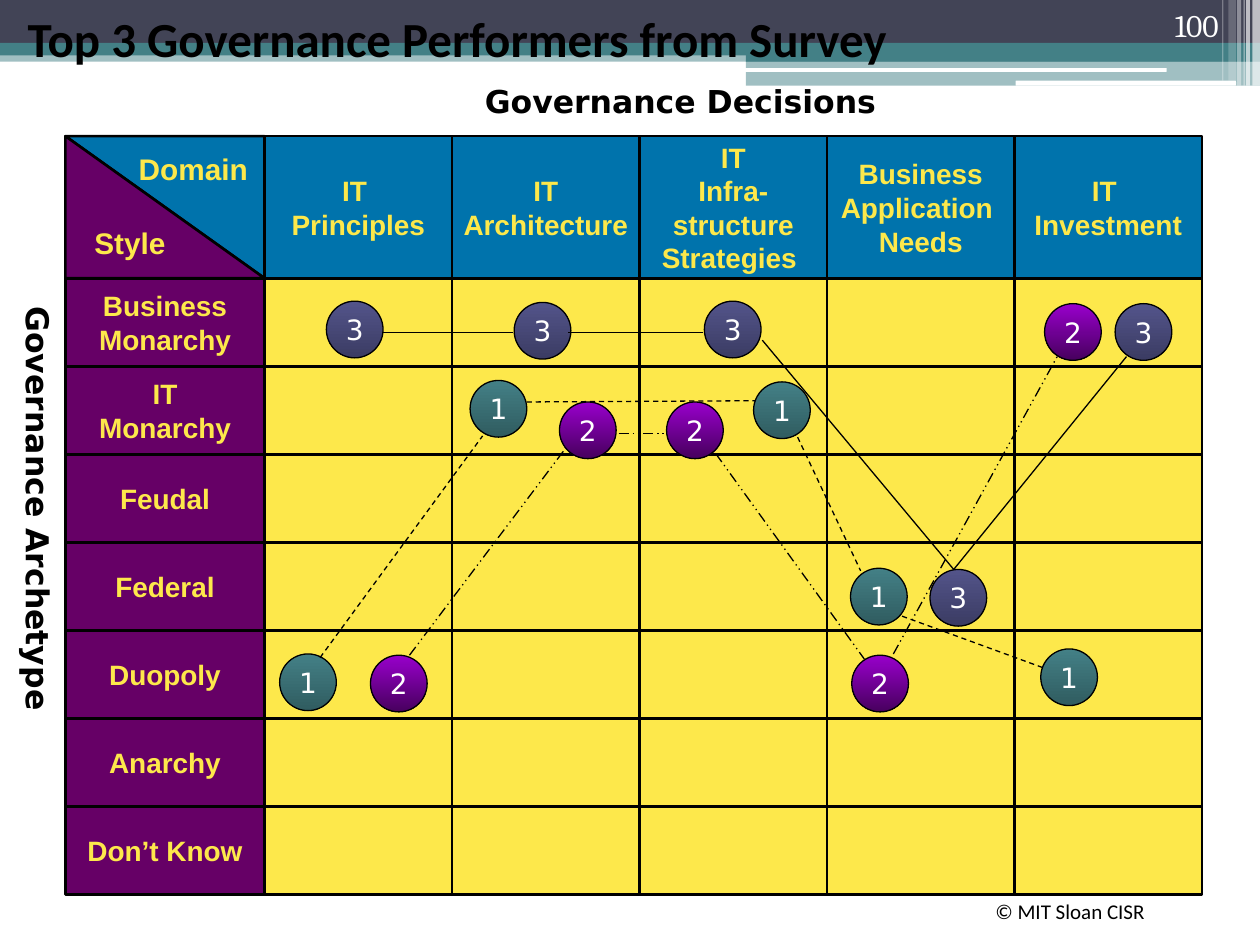
from copy import deepcopy

from lxml.etree import SubElement
from pptx import Presentation
from pptx.dml.color import RGBColor
from pptx.enum.dml import MSO_LINE
from pptx.enum.shapes import MSO_CONNECTOR, MSO_SHAPE
from pptx.enum.text import MSO_ANCHOR, MSO_AUTO_SIZE, PP_ALIGN
from pptx.oxml.ns import qn
from pptx.util import Pt

SLATE, TEAL, WHITE, BLACK = "424456", "438086", "FFFFFF", "000000"
YELLOW, BLUE, PLUM = "FDE84B", "0073AC", "660066"

# "\v" breaks a line, "\n" starts a new paragraph
DOMAINS = ["IT \vPrinciples", "IT\vArchitecture", "IT\v Infra- \vstructure\nStrategies ",
           "Business\nApplication \vNeeds", "IT \vInvestment"]
STYLES = ["Business\nMonarchy", "IT\nMonarchy", "Feudal", "Federal", "Duopoly",
          "Anarchy", "Don’t Know"]

# Performer: gradient, dash, marker corners, path segments (relative to the slide)
PERFORMERS = {
    "1": (("438086", "305C60"), MSO_LINE.DASH,
          [(159.8, 373.7), (268.6, 217.4), (430.6, 218.2), (486, 324.7), (594.7, 370.8)],
          [(182.9, 375.8, 275.8, 249.1), (301, 229.7, 431.3, 229),
           (455.8, 249.8, 491.8, 326.2), (515.5, 352.1, 596.2, 381.6)]),
    "2": (("9900CC", "47005E"), MSO_LINE.DASH_DOT_DOT,
          [(211.7, 374.4), (319.7, 229.7), (380.9, 229.7), (486.7, 374.4), (596.9, 173.5)],
          [(234, 374.4, 322.6, 257), (353.5, 247.7, 380.9, 247.7),
           (409, 259.2, 493.9, 376.6), (510.5, 373.7, 604.1, 203.8)]),
    "3": (("53548A", "3B3C63"), MSO_LINE.SOLID,
          [(186.5, 172.1), (293.8, 172.8), (402.5, 172.1), (531.4, 325.4), (637.2, 173.5)],
          [(218.2, 190.1, 293, 190.1), (324.7, 190.1, 401.8, 190.1),
           (435.6, 194.4, 545, 325.4), (545, 325.4, 643.7, 203.8)]),
}
MARKER = 32.4


def color(hex_code):
    return RGBColor.from_string(hex_code)


def write(shape, text, size=16, font="Arial", ink=YELLOW, bold=True, align=PP_ALIGN.CENTER,
          anchor=MSO_ANCHOR.MIDDLE, insets=(7.2, 3.6, 7.2, 3.6), wrap=False):
    frame = shape.text_frame
    frame.word_wrap, frame.vertical_anchor = wrap, anchor
    frame.margin_left, frame.margin_top, frame.margin_right, frame.margin_bottom = map(Pt, insets)
    frame.text = text
    for para in frame.paragraphs:
        para.alignment = align
        for span in para.runs:
            span.font.size, span.font.name, span.font.bold = Pt(size), font, bold
            span.font.color.rgb = color(ink)
        # Line breaks take the format of the text around them
        for line_break in para._p.findall(qn("a:br")):
            line_break.append(deepcopy(para.runs[0].font._element))


def label(page, box, text, rotation=0, grow=True, **text_format):
    shape = page.shapes.add_textbox(*map(Pt, box))
    shape.rotation = rotation
    options = dict(ink=BLACK, align=PP_ALIGN.LEFT, anchor=MSO_ANCHOR.TOP, wrap=True)
    write(shape, text, **{**options, **text_format})
    if grow:
        shape.text_frame.auto_size = MSO_AUTO_SIZE.SHAPE_TO_FIT_TEXT


def block(page, box, fill, kind=MSO_SHAPE.RECTANGLE, line=None, opacity=100):
    shape = page.shapes.add_shape(kind, *map(Pt, box))
    shape.shadow.inherit = False
    if isinstance(fill, tuple):
        shape.fill.gradient()
        shape.fill.gradient_angle = 270
        for stop, shade in zip(shape.fill.gradient_stops, fill):
            stop.color.rgb = color(shade)
    else:
        shape.fill.solid()
        shape.fill.fore_color.rgb = color(fill)
    if opacity < 100:
        tint = shape._element.spPr.find(qn("a:solidFill"))[0]
        SubElement(tint, qn("a:alpha")).set("val", str(opacity * 1000))
    if line:
        shape.line.color.rgb, shape.line.width = color(BLACK), Pt(line)
    else:
        shape.line.fill.background()
    return shape


def banner(page, box):
    left, top, width, height = box
    right = left + width
    # Bands across the page, then the stepped band on the right
    for x, y, tall, fill, opacity in [
            (0, 28.8, 6.5, TEAL, 50), (0, 0, 24.5, SLATE, 100), (0, 24.5, 7.2, TEAL, 100),
            (426.2, 28.1, 7.2, TEAL, 100), (426.2, 34.6, 14.4, TEAL, 50)]:
        block(page, (left + x, top + y, width - x, tall), fill, opacity=opacity)
    # Rounded white rules
    for x, y, wide, tall in [(425.5, 38.9, 241.2, 2.2), (580.3, 46.1, 126, 2.9)]:
        block(page, (left + x, top + y, wide, tall), WHITE, MSO_SHAPE.ROUNDED_RECTANGLE)
    # Upright stripes at the right edge
    for offset, wide, short, opacity in [
            (4.3, 4.3, 0, 65), (7.9, 2.2, 0, 65), (9.4, 0.7, 0, 60),
            (13, 2.2, 0, 40), (18, 4.3, 2.9, 20), (21.6, 0.7, 2.9, 30)]:
        block(page, (right - offset, top, wide, height - short), WHITE, opacity=opacity)


def corner(page, box):
    domain = block(page, box, BLUE, MSO_SHAPE.RIGHT_TRIANGLE, 1.5)
    frame = domain._element.spPr.find(qn("a:xfrm"))
    frame.set("flipH", "1")
    frame.set("flipV", "1")
    write(domain, "Domain", size=17, align=PP_ALIGN.RIGHT, anchor=MSO_ANCHOR.TOP,
          insets=(0.7, 1.4, 0, 1.4))
    domain.text_frame._txBody.bodyPr.set("rot", "10800000")
    style = block(page, box, PLUM, MSO_SHAPE.RIGHT_TRIANGLE, 1.5)
    write(style, "Style", size=17, align=PP_ALIGN.LEFT)


def matrix(page, box, side=113.8, head=81.2):
    left, top, width, height = box
    wide = (width - side) / len(DOMAINS)
    tall = (height - head) / len(STYLES)
    for column, domain in enumerate(DOMAINS):
        x = left + side + column * wide
        write(block(page, (x, top, wide, head), BLUE, line=1.5), domain)
        for row in range(len(STYLES)):
            block(page, (x, top + head + row * tall, wide, tall), YELLOW, line=1.5)
    for row, style in enumerate(STYLES):
        cell = (left, top + head + row * tall, side, tall)
        write(block(page, cell, PLUM, line=1.5), style)
    corner(page, (left, top, side, head))


def performer_paths(page, box):
    left, top = box[:2]
    # Numbered markers
    for number, (shades, _, corners, _) in PERFORMERS.items():
        for x, y in corners:
            marker = block(page, (left + x, top + y, MARKER, MARKER), shades,
                           MSO_SHAPE.OVAL, 0.75)
            write(marker, number, font="DejaVu Sans", ink=WHITE, bold=False)
    # Lines between the markers
    for _, dash, _, segments in PERFORMERS.values():
        for x1, y1, x2, y2 in segments:
            ends = (left + x1, top + y1, left + x2, top + y2)
            link = page.shapes.add_connector(MSO_CONNECTOR.STRAIGHT, *map(Pt, ends))
            link.line.color.rgb, link.line.width = color(BLACK), Pt(0.75)
            link.line.dash_style = dash
            SubElement(link._element.spPr, qn("a:effectLst"))


def main():
    deck = Presentation()
    deck.slide_width, deck.slide_height = Pt(720), Pt(540)
    page = deck.slides.add_slide(deck.slide_layouts[6])

    # Banner and title
    banner(page, (0, 0, 720, 49))
    label(page, (12.2, 1.4, 642.2, 41), "Top 3 Governance Performers from Survey",
          size=28, font="Calibri", insets=(3.6,) * 4)

    # Matrix with the three paths
    matrix(page, (37.4, 77.8, 649.4, 433.4))
    performer_paths(page, (0, 0, 720, 540))

    # Source line, axis titles and page number
    label(page, (565.2, 509.8, 125.3, 21.6), "© MIT Sloan CISR", size=12, font="Calibri",
          bold=False, insets=(3.6,) * 4)
    axis = dict(size=18, font="DejaVu Sans")
    label(page, (-113.8, 289.4, 271.4, 28.8), "Governance Archetype", rotation=90, **axis)
    label(page, (270, 43.2, 271.4, 28.8), "Governance Decisions", **axis)
    label(page, (643.7, 0, 59.8, 28.8), "100", grow=False, size=18, font="Cambria", ink=WHITE,
          bold=False, align=PP_ALIGN.RIGHT, anchor=MSO_ANCHOR.BOTTOM)

    deck.save("out.pptx")


if __name__ == "__main__":
    main()
